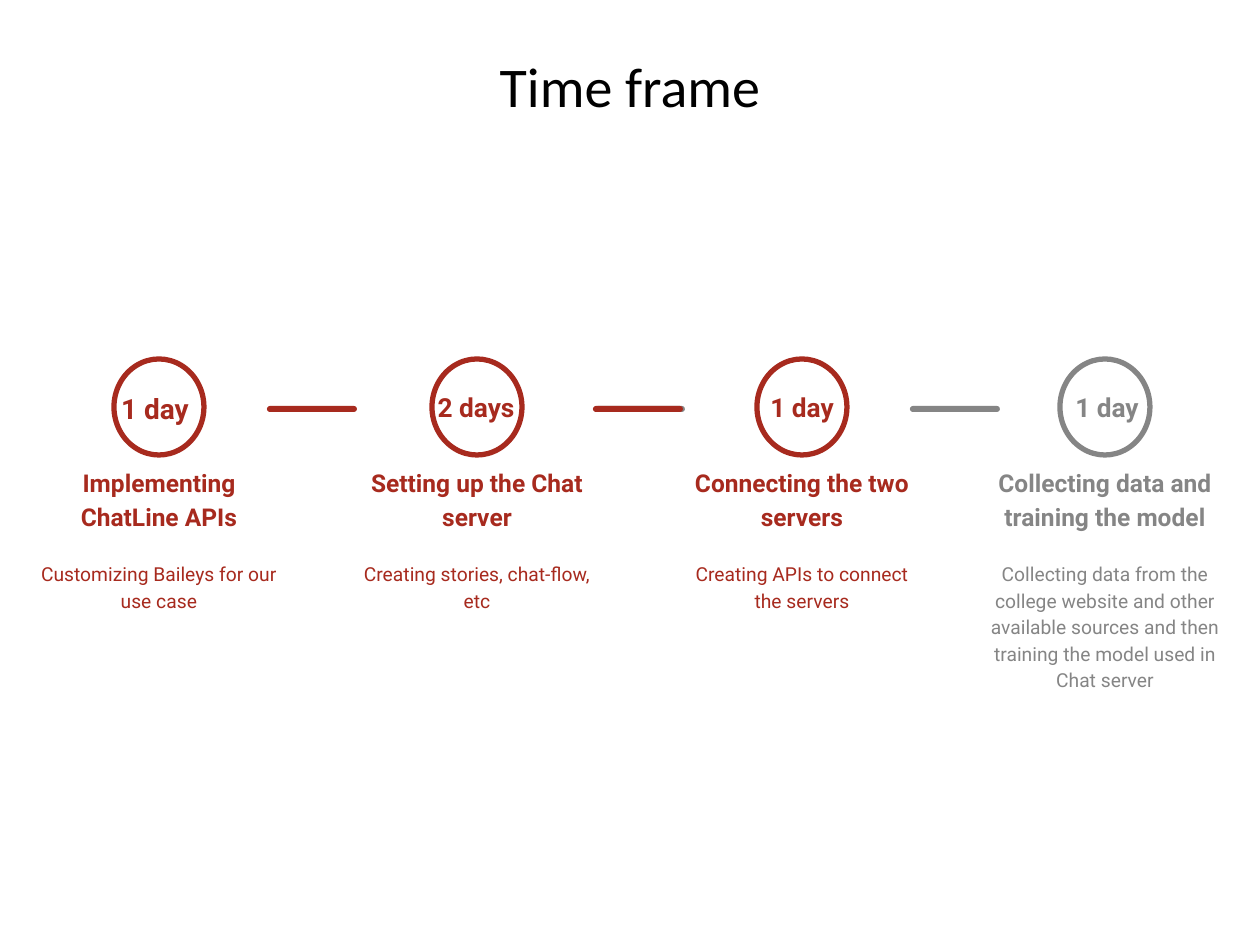
from collections import namedtuple

from pptx import Presentation
from pptx.dml.color import RGBColor
from pptx.enum.shapes import MSO_SHAPE
from pptx.enum.text import MSO_ANCHOR, PP_ALIGN
from pptx.util import Emu, Pt

PX_PER_INCH = 126
RED = "A72A1E"
GRAY = "858585"
INSET = 13

Step = namedtuple(
    "Step", "center color duration label_center label_size heading details details_width"
)

STEPS = [
    Step(159, RED, "1 day", 155, 16, "Implementing ChatLine APIs",
         "Customizing Baileys for our use case", 265),
    Step(477, RED, "2 days", 476, 15, "Setting up the Chat server",
         "Creating stories, chat-flow, etc", 258),
    Step(802, RED, "1 day", 802, 15, "Connecting the two servers",
         "Creating APIs to connect the servers", 258),
    Step(1105, GRAY, "1 day", 1107, 15, "Collecting data and training the model",
         "Collecting data from the college website and other available sources "
         "and then training the model used in Chat server", 258),
]

# The second link is a gray bar almost covered by a red one.
LINKS = [(267, RED), (595, GRAY), (593, RED), (910, GRAY)]


def px(value):
    return Emu(round(value * 914400 / PX_PER_INCH))


def rgb(color):
    return RGBColor.from_string(color)


def format_text(text_frame, size, font, color, spacing, inset, anchor, bold=False, after=0):
    text_frame.word_wrap = True
    text_frame.vertical_anchor = anchor
    text_frame.margin_left = text_frame.margin_right = px(inset)
    text_frame.margin_top = text_frame.margin_bottom = px(inset)
    paragraph = text_frame.paragraphs[0]
    paragraph.alignment = PP_ALIGN.CENTER
    paragraph.line_spacing = spacing
    paragraph.space_before = Pt(0)
    paragraph.space_after = Pt(after)
    run_font = paragraph.runs[0].font
    run_font.size = Pt(size)
    run_font.name = font
    run_font.bold = bold
    run_font.color.rgb = rgb(color)


def set_title(slide, text):
    title = slide.shapes.title
    title.left, title.top, title.width, title.height = px(87), px(-2), px(1086), px(183)
    title.text_frame.text = text
    format_text(title.text_frame, 32, "Calibri", "000000", 0.9, 6, MSO_ANCHOR.MIDDLE)


def add_text(slide, center, top, width, height, text, size, color,
             bold=False, anchor=MSO_ANCHOR.TOP, after=0):
    box = slide.shapes.add_textbox(px(center - width / 2), px(top), px(width), px(height))
    box.text_frame.text = text
    format_text(box.text_frame, size, "Roboto", color, 1.15, INSET, anchor, bold, after)


def add_circle(slide, center, color):
    width = 90
    circle = slide.shapes.add_shape(
        MSO_SHAPE.OVAL, px(center - width / 2), px(359), px(width), px(96))
    circle.shadow.inherit = False
    circle.fill.background()
    circle.line.color.rgb = rgb(color)
    circle.line.width = Pt(3)


def add_link(slide, left, color):
    bar = slide.shapes.add_shape(
        MSO_SHAPE.ROUNDED_RECTANGLE, px(left), px(406), px(90), px(6))
    bar.adjustments[0] = 0.5
    bar.shadow.inherit = False
    bar.fill.solid()
    bar.fill.fore_color.rgb = rgb(color)
    bar.line.fill.background()


def add_step(slide, step):
    add_circle(slide, step.center, step.color)
    add_text(slide, step.label_center, 374, 130, 52, step.duration,
             step.label_size, step.color, bold=True, after=16)
    add_text(slide, step.center, 472, 258, 72, step.heading, 14, step.color,
             bold=True, anchor=MSO_ANCHOR.BOTTOM)
    add_text(slide, step.center, 546, step.details_width, 118, step.details,
             11, step.color, after=16)


def main():
    presentation = Presentation()
    presentation.slide_width, presentation.slide_height = px(1260), px(945)
    slide = presentation.slides.add_slide(presentation.slide_layouts[5])
    set_title(slide, "Time frame")
    for left, color in LINKS:
        add_link(slide, left, color)
    for step in STEPS:
        add_step(slide, step)
    presentation.save("out.pptx")


if __name__ == "__main__":
    main()
